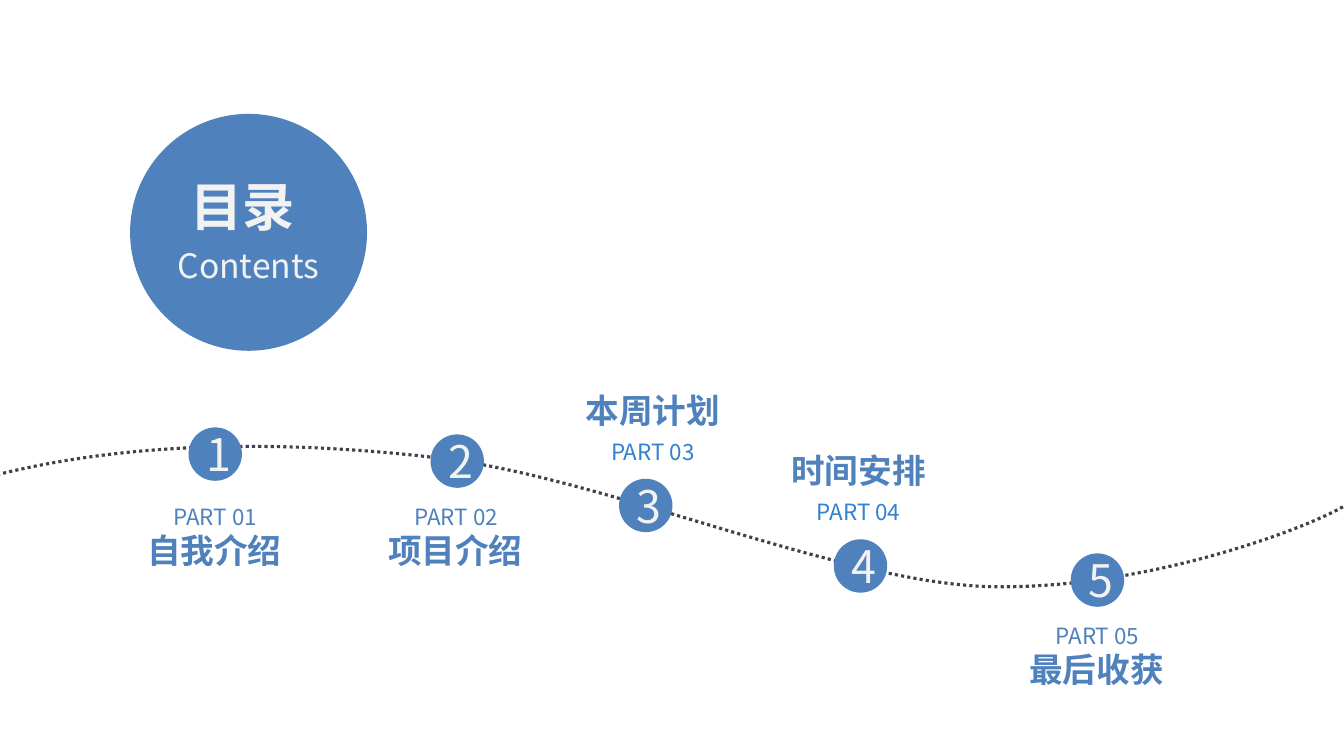
from lxml import etree
from pptx import Presentation
from pptx.dml.color import RGBColor
from pptx.enum.dml import MSO_LINE
from pptx.enum.shapes import MSO_SHAPE
from pptx.enum.text import MSO_ANCHOR, MSO_AUTO_SIZE, PP_ALIGN
from pptx.oxml.ns import qn
from pptx.util import Inches, Pt

OVAL = MSO_SHAPE.OVAL
ROUND_DOT = MSO_LINE.ROUND_DOT
TOP, MIDDLE = MSO_ANCHOR.TOP, MSO_ANCHOR.MIDDLE
NO_FIT, GROW = MSO_AUTO_SIZE.NONE, MSO_AUTO_SIZE.SHAPE_TO_FIT_TEXT
LEFT, CENTER = PP_ALIGN.LEFT, PP_ALIGN.CENTER
FONT = "Noto Sans CJK SC"
COLORS = {"blue": "4F81BD", "bright": "3181D1", "pale": "F2F2F2", "road": "3F404B"}


def rgb(name):
    return RGBColor.from_string(COLORS[name])


def write(paragraph, text, size, color="blue", bold=False, align=CENTER, spacing=1.0):
    paragraph.alignment = align
    paragraph.line_spacing = spacing
    run = paragraph.add_run()
    run.text = text
    run.font.name = FONT
    run.font.size = Pt(size)
    run.font.bold = bold
    run.font.color.rgb = rgb(color)
    etree.SubElement(run.font._element, qn("a:ea")).set("typeface", FONT)


prs = Presentation()
prs.slide_width, prs.slide_height = Inches(13.33), Inches(7.5)
slide = prs.slides.add_slide(prs.slide_layouts[5])
shapes = slide.shapes

# Title in its large disc; part discs are added with the same fill
discs = []
DISC = 0.53
disc_places = [(1.87, 4.24), (4.27, 4.31), (6.14, 4.75), (8.27, 5.35), (10.62, 5.49)]

# Dotted road: three Bezier segments, sampled evenly
road_start = (-0.03, 4.71)
road_segments = [
    [(1.21, 4.4), (2.68, 4.35), (4.32, 4.54)],
    [(5.95, 4.72), (8.28, 5.77), (9.8, 5.82)],
    [(11.33, 5.86), (12.98, 5.24), (13.35, 5.01)],
]
STEPS = 40
road_points = []
start = road_start
for control_1, control_2, end in road_segments:
    for step in range(1, STEPS + 1):
        t = step / STEPS
        u = 1 - t
        road_points.append([
            Inches(u**3 * a + 3 * u * u * t * b + 3 * u * t * t * c + t**3 * d)
            for a, b, c, d in zip(start, control_1, control_2, end)
        ])
    start = end
builder = shapes.build_freeform(Inches(road_start[0]), Inches(road_start[1]))
builder.add_line_segments(road_points, close=False)
road = builder.convert_to_shape()
road.shadow.inherit = False
road.fill.background()
road.line.color.rgb = rgb("road")
road.line.width = Pt(2.25)
road.line.dash_style = ROUND_DOT

# Title disc and numbered discs
for left, top, size in [(1.29, 1.13, 2.35)] + [(x, y, DISC) for x, y in disc_places]:
    disc = shapes.add_shape(OVAL, Inches(left), Inches(top), Inches(size), Inches(size))
    disc.shadow.inherit = False
    disc.fill.solid()
    disc.fill.fore_color.rgb = rgb("blue")
    disc.line.fill.background()
    discs.append(disc)
title_disc, *part_discs = discs

for number, disc in enumerate(part_discs, 1):
    disc.text_frame.vertical_anchor = MIDDLE
    write(disc.text_frame.paragraphs[0], str(number), 32, color="pale")

# Title text, placed in front of its disc
title = shapes.title
title_disc.element.addnext(title.element)
title.left, title.top = Inches(0.91), Inches(1.55)
title.width, title.height = Inches(3.11), Inches(1.34)
heading = title.text_frame
heading.auto_size = NO_FIT
heading.vertical_anchor = TOP
heading.word_wrap = True
write(heading.paragraphs[0], "目录 ", 37.3, color="pale", bold=True, spacing=1.2)
write(heading.add_paragraph(), "Contents", 24, color="pale", spacing=1.2)

# Part labels: below the road the part number leads, above it the name leads
parts = [
    ("自我介绍", 1.36, 4.86, False),
    ("项目介绍", 3.75, 4.86, False),
    ("本周计划", 5.71, 3.82, True),
    ("时间安排", 7.75, 4.41, True),
    ("最后收获", 10.11, 6.04, False),
]
for number, (name, left, top, above) in enumerate(parts, 1):
    label = shapes.add_textbox(Inches(left), Inches(top), Inches(1.55), Inches(0.85)).text_frame
    label.word_wrap = False
    label.auto_size = GROW
    first, second = label.paragraphs[0], label.add_paragraph()
    name_line, part_line = (first, second) if above else (second, first)
    write(name_line, name, 24, bold=True, align=LEFT)
    write(part_line, f"PART {number:02d}", 16, color="bright" if above else "blue", spacing=1.3)

prs.save("out.pptx")
